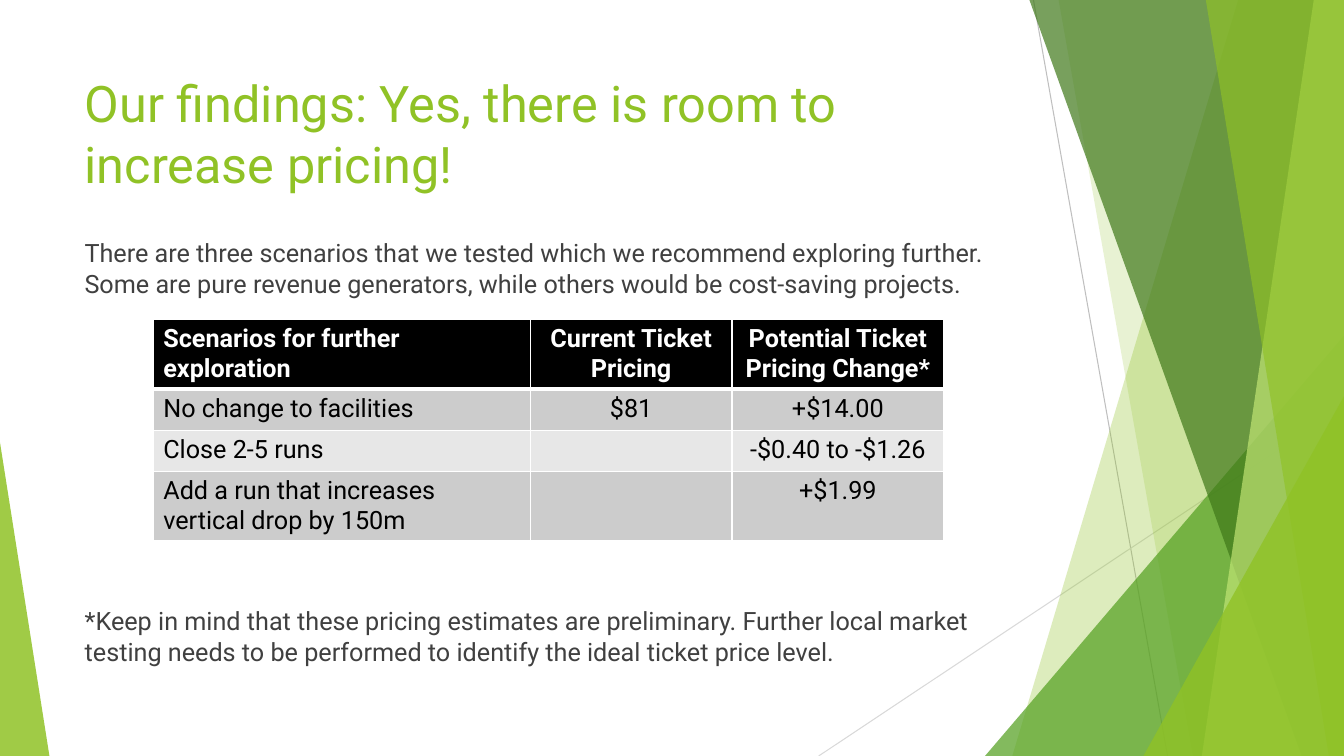
from lxml.etree import SubElement
from pptx import Presentation
from pptx.dml.color import RGBColor
from pptx.enum.shapes import MSO_CONNECTOR, MSO_SHAPE
from pptx.enum.text import MSO_ANCHOR, MSO_AUTO_SIZE, PP_ALIGN
from pptx.oxml.ns import qn
from pptx.util import Inches, Pt

WIDE, HIGH = 13.33, 7.5
LEFT = 0.74
FONT = "Roboto"

LIME = RGBColor(0x90, 0xC2, 0x26)
GREEN = RGBColor(0x54, 0xA0, 0x21)
DARK = RGBColor(0x3F, 0x78, 0x19)
PALE = RGBColor(0xC0, 0xE4, 0x74)
GRAY = RGBColor(0x40, 0x40, 0x40)
RULE = RGBColor(0xBF, 0xBF, 0xBF)
FAINT = RGBColor(0xD9, 0xD9, 0xD9)
BLACK = RGBColor(0, 0, 0)
WHITE = RGBColor(0xFF, 0xFF, 0xFF)
BANDS = RGBColor(0xE7, 0xE7, 0xE7), RGBColor(0xCC, 0xCC, 0xCC)

TITLE = "Our findings: Yes, there is room to increase pricing!"
INTRO = ("There are three scenarios that we tested which we recommend exploring "
         "further. Some are pure revenue generators, while others would be "
         "cost-saving projects.")
NOTE = ("*Keep in mind that these pricing estimates are preliminary. Further local "
        "market testing needs to be performed to identify the ideal ticket price level.")
ROWS = [
    ("Scenarios for further exploration", "Current Ticket Pricing",
     "Potential Ticket Pricing Change*"),
    ("No change to facilities", "$81", "+$14.00"),
    ("Close 2-5 runs", "", "-$0.40 to -$1.26"),
    ("Add a run that increases vertical drop by 150m", "", "+$1.99"),
]
COLS = 3.74, 2, 2.1
TALL = 0.67, 0.41, 0.41, 0.68

# Lines: start, end, color
LINES = [((10.25, 0), (11.58, HIGH), RULE), ((WIDE, 4.03), (8.12, HIGH), FAINT)]


def band(slide, top, foot):
    """Shard from a top x and a foot x to the right edge of the slide."""
    pen = slide.shapes.build_freeform(Inches(top), 0)
    corners = (WIDE, 0), (WIDE, HIGH), (foot, HIGH)
    pen.add_line_segments([(Inches(x), Inches(y)) for x, y in corners])
    return pen.convert_to_shape()


def wedge(slide, left, right, tip, lean):
    """Right triangle on the bottom edge, its tip at the left (0) or right (1)."""
    area = map(Inches, (left, tip, right - left, HIGH - tip))
    shard = slide.shapes.add_shape(MSO_SHAPE.ISOSCELES_TRIANGLE, *area)
    shard.adjustments[0] = lean
    return shard


# Shards: maker, its measures, color, opacity in percent
SHARDS = [
    (band, (12.28, 10.04), LIME, 30),
    (band, (10.5, 11.83), LIME, 20),
    (wedge, (9.77, WIDE, 3.33, 1), GREEN, 72),
    (band, (10.21, 12.91), DARK, 70),
    (band, (13.03, 11.92), PALE, 70),
    (band, (11.96, 13.18), LIME, 65),
    (wedge, (11.34, WIDE, 3.93, 1), LIME, 80),
    (wedge, (0, 0.49, 4.39, 0), LIME, 85),
]


def draw_line(slide, start, end, color):
    ends = [Inches(n) for n in start + end]
    line = slide.shapes.add_connector(MSO_CONNECTOR.STRAIGHT, *ends)
    line.line.color.rgb = color
    line.line.width = Pt(0.75)
    SubElement(line._element.spPr, qn("a:effectLst"))


def draw_shard(slide, make, sizes, color, share):
    shard = make(slide, *sizes)
    shard.shadow.inherit = False
    shard.line.fill.background()
    shard.fill.solid()
    shard.fill.fore_color.rgb = color
    tint = shard._element.spPr.find(qn("a:solidFill"))[0]
    SubElement(tint, qn("a:alpha"), val=str(share * 1000))


def style(para, size, color, bold=False, align=PP_ALIGN.LEFT):
    para.alignment = align
    font = para.font
    font.name, font.size, font.bold = FONT, Pt(size), bold
    font.color.rgb = color


def set_text(shape, area, text, size, color, before=0):
    shape.left, shape.top, shape.width, shape.height = map(Inches, area)
    frame = shape.text_frame
    frame.text = text
    frame.word_wrap = True
    frame.auto_size = MSO_AUTO_SIZE.NONE
    frame.vertical_anchor = MSO_ANCHOR.TOP
    para = frame.paragraphs[0]
    style(para, size, color)
    para.space_before = Pt(before)
    props = para._p.get_or_add_pPr()
    props.set("marL", "0")
    props.set("indent", "0")
    props.insert_element_before(props.makeelement(qn("a:buNone"), {}), "a:defRPr")


def set_edges(cell, head):
    props = cell._tc.get_or_add_tcPr()
    for side in "LRTB":
        width = Pt(3 if head and side == "B" else 1)
        edge = SubElement(props, qn("a:ln" + side), w=str(width))
        fill = SubElement(edge, qn("a:solidFill"))
        SubElement(fill, qn("a:srgbClr"), val=str(WHITE))


def add_prices(slide):
    area = map(Inches, (1.52, 3.17, sum(COLS), sum(TALL)))
    table = slide.shapes.add_table(len(ROWS), len(COLS), *area).table
    for col, width in zip(table.columns, COLS):
        col.width = Inches(width)
    for r, (row, height) in enumerate(zip(ROWS, TALL)):
        table.rows[r].height = Inches(height)
        head = r == 0
        for c, text in enumerate(row):
            cell = table.cell(r, c)
            cell.text = text
            set_edges(cell, head)
            cell.fill.solid()
            cell.fill.fore_color.rgb = BLACK if head else BANDS[r % 2]
            style(cell.text_frame.paragraphs[0], 18, WHITE if head else BLACK,
                  head, PP_ALIGN.CENTER if c else PP_ALIGN.LEFT)


def main():
    deck = Presentation()
    deck.slide_width, deck.slide_height = Inches(WIDE), Inches(HIGH)
    slide = deck.slides.add_slide(deck.slide_layouts[1])
    title, body = slide.placeholders
    for line in LINES:
        draw_line(slide, *line)
    for shard in SHARDS:
        draw_shard(slide, *shard)
    for holder in (title, body):  # text goes in front of the shards
        slide.shapes._spTree.append(holder._element)
    set_text(title, (LEFT, 0.67, 9.4, 1.44), TITLE, 36, LIME)
    set_text(body, (LEFT, 5.96, 9.4, 1.05), NOTE, 18, GRAY, 10)
    add_prices(slide)
    intro = slide.shapes.add_textbox(0, 0, 0, 0)
    set_text(intro, (LEFT, 2.31, 9.58, 0.85), INTRO, 18, GRAY, 10)
    deck.save("out.pptx")


if __name__ == "__main__":
    main()
